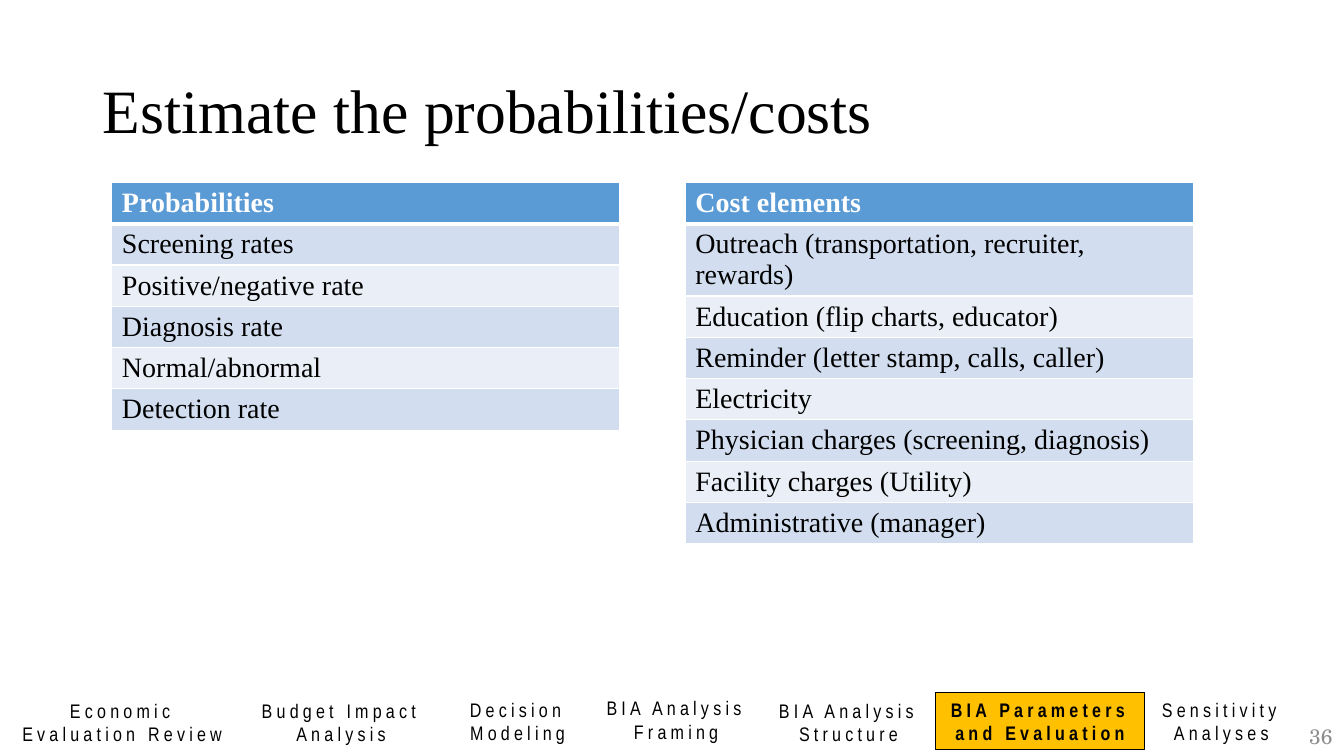
from lxml import etree
from pptx import Presentation
from pptx.dml.color import RGBColor
from pptx.enum.shapes import MSO_SHAPE
from pptx.enum.text import MSO_ANCHOR, PP_ALIGN
from pptx.oxml import parse_xml
from pptx.oxml.ns import nsdecls
from pptx.util import Cm, Pt

RECT = MSO_SHAPE.RECTANGLE
MIDDLE = MSO_ANCHOR.MIDDLE
LEFT, CENTER, RIGHT = PP_ALIGN.LEFT, PP_ALIGN.CENTER, PP_ALIGN.RIGHT


def rgb(code):
    return RGBColor.from_string(code)


def write(tf, text, align, color="000000", spacing=None, **fmt):
    tf.word_wrap = True
    p = tf.paragraphs[0]
    p.alignment = align
    r = p.add_run()
    r.text = text
    r.font.color.rgb = rgb(color)
    for name, value in fmt.items():
        setattr(r.font, name, value)
    if spacing:
        r.font._element.set("spc", str(spacing))
    return p


prs = Presentation()
prs.slide_width, prs.slide_height = Cm(33.87), Cm(19.05)
s = prs.slides.add_slide(prs.slide_layouts[5])

title = s.shapes.title
title.left, title.top, title.width, title.height = Cm(2.34), Cm(1.02), Cm(29.21), Cm(3.68)
title.text_frame.vertical_anchor = MIDDLE
p = write(title.text_frame, "Estimate the probabilities/costs", LEFT,
          name="Times New Roman", size=Pt(44))
p.line_spacing = 0.9

tables = [
    (17.27, ["Cost elements", "Outreach (transportation, recruiter, rewards)",
             "Education (flip charts, educator)", "Reminder (letter stamp, calls, caller)",
             "Electricity", "Physician charges (screening, diagnosis)",
             "Facility charges (Utility)", "Administrative (manager)"]),
    (2.82, ["Probabilities", "Screening rates", "Positive/negative rate",
            "Diagnosis rate", "Normal/abnormal", "Detection rate"]),
]
for left, labels in tables:
    table = s.shapes.add_table(len(labels), 1, Cm(left), Cm(4.6), Cm(12.8),
                               Cm(1.04 * len(labels))).table
    for i, label in enumerate(labels):
        header = i == 0
        table.rows[i].height = Cm(0.79 if header else 1.04)
        cell = table.cell(i, 0)
        cell.fill.solid()
        cell.fill.fore_color.rgb = rgb("5B9BD5" if header else ("EAEFF7", "D2DEEF")[i % 2])
        write(cell.text_frame, label, LEFT, "FFFFFF" if header else "000000",
              name="Times New Roman", size=Pt(20), bold=header)
        tcPr = cell._tc.get_or_add_tcPr()
        for n, side in enumerate("LRTB"):
            thick = (header and side == "B") or (i == 1 and side == "T")
            tcPr.insert(n, parse_xml(
                f'<a:ln{side} {nsdecls("a")} w="{Pt(3 if thick else 1)}"><a:solidFill>'
                f'<a:srgbClr val="FFFFFF"/></a:solidFill></a:ln{side}>'))

sections = [
    ("Economic Evaluation Review", 0.03, 17.48, 6.1, None, None),
    ("Budget Impact Analysis", 6.12, 17.48, 4.95, None, None),
    ("Decision Modeling", 11.23, 17.45, 3.63, None, None),
    ("BIA Analysis Framing", 14.73, 17.42, 4.62, None, "FFFFFF"),
    ("BIA Analysis Structure", 19.1, 17.48, 4.57, None, None),
    ("BIA Parameters and Evaluation", 23.57, 17.45, 5.28, "FFC000", "000000"),
    ("Sensitivity Analyses", 28.14, 17.45, 5.28, None, None),
]
for text, left, top, width, fill, line in sections:
    box = Cm(left), Cm(top), Cm(width), Cm(1.45)
    if line:
        sp = s.shapes.add_shape(RECT, *box)
        sp.shadow.inherit = False
        sp.line.color.rgb = rgb(line)
        sp.line.width = Pt(0.75)
        sp.fill.background()
    else:
        sp = s.shapes.add_textbox(*box)
    if fill:
        sp.fill.solid()
        sp.fill.fore_color.rgb = rgb(fill)
    sp.text_frame.vertical_anchor = MSO_ANCHOR.TOP
    write(sp.text_frame, text, CENTER, spacing=300, name="Arial Narrow",
          size=Pt(14), bold=bool(fill))

number = s.shapes.add_textbox(Cm(26.21), Cm(18.03), Cm(7.62), Cm(1.02))
number.text_frame.vertical_anchor = MIDDLE
write(number.text_frame, "36", RIGHT, "8C8C8C", name="TeX Gyre Schola", size=Pt(15))

prs.save("out.pptx")
